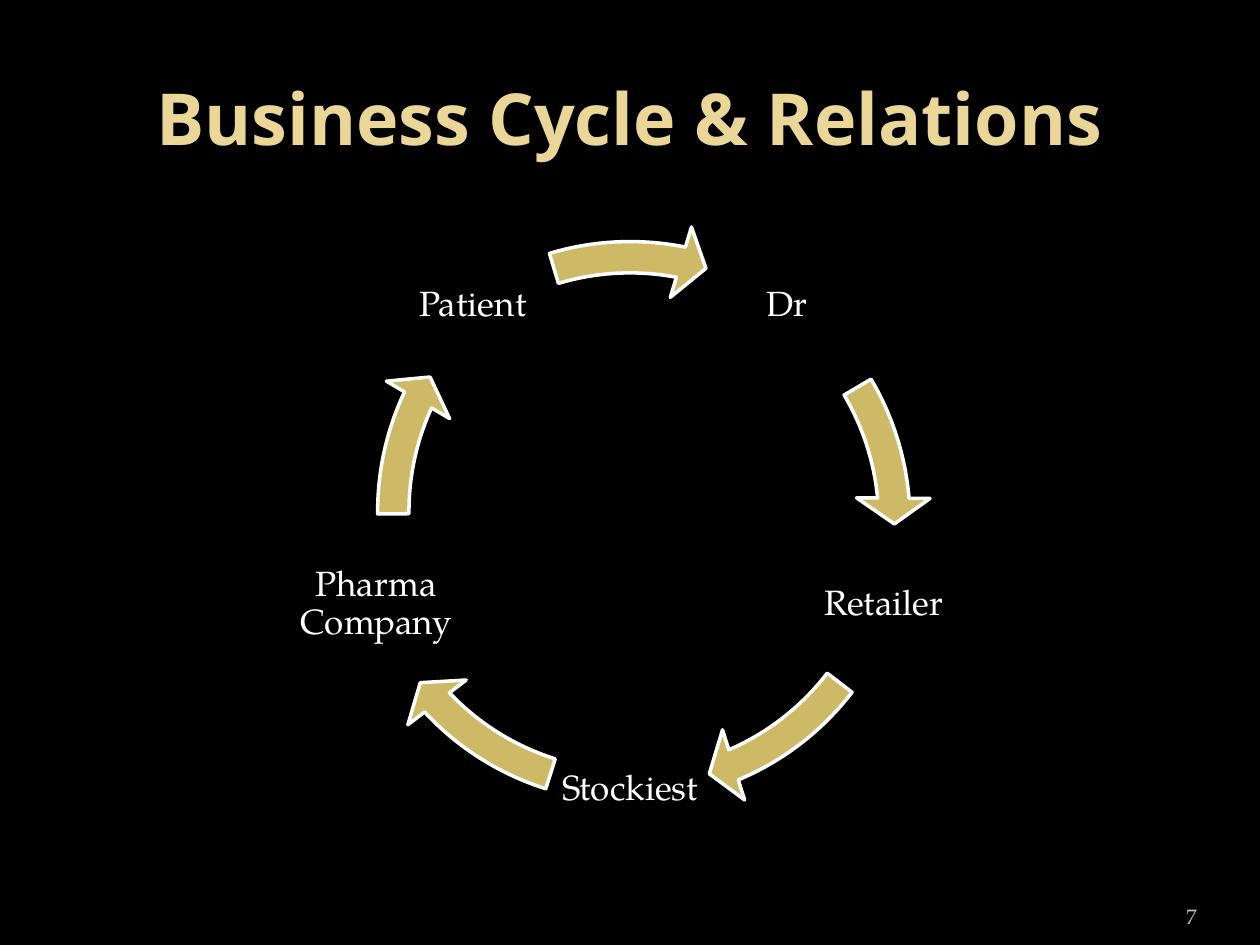
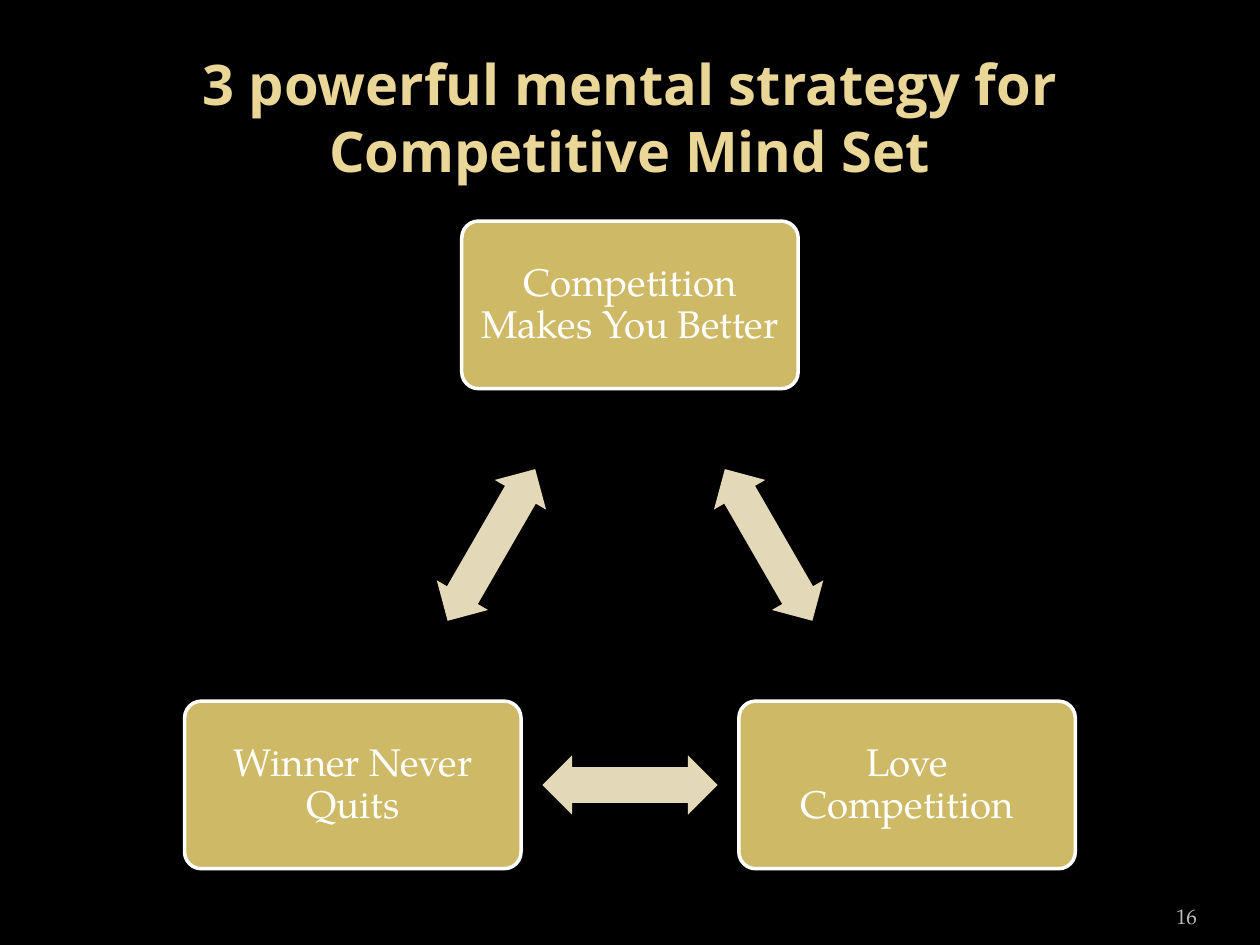
import math

import pptx
import pptx.dml.color
import pptx.enum.shapes
import pptx.enum.text
import pptx.util

RGBColor = pptx.dml.color.RGBColor
Inches = pptx.util.Inches
Shape = pptx.enum.shapes.MSO_SHAPE
Align = pptx.enum.text.PP_ALIGN
Anchor = pptx.enum.text.MSO_ANCHOR

BLACK = RGBColor(0x00, 0x00, 0x00)
WHITE = RGBColor(0xFF, 0xFF, 0xFF)
GOLD = RGBColor(0xCE, 0xB9, 0x66)
PALE_GOLD = RGBColor(0xE3, 0xD9, 0xB8)
TITLE_GOLD = RGBColor(0xEA, 0xD6, 0x96)
NUMBER_GRAY = RGBColor(0xBD, 0xBD, 0xBD)
TITLE_FONT = "Open Sans"
BODY_FONT = "TeX Gyre Pagella"

CYCLE_STEPS = [
    ("Dr", 329.42, 354.9),
    ("Retailer", 37.54, 66.93),
    ("Stockiest", 107.48, 136.87),
    ("Pharma Company", 179.5, 204.98),
    ("Patient", 253.29, 281.11),
]
STRATEGIES = ["Competition Makes You Better", "Love Competition", "Winner Never Quits"]


def write_text(shape, text, size=20, font=BODY_FONT, color=WHITE, bold=False,
               align=Align.CENTER, anchor=Anchor.MIDDLE, insets=(0.03, 0.03), spacing=0.9):
    frame = shape.text_frame
    frame.word_wrap = True
    frame.vertical_anchor = anchor
    frame.margin_left = frame.margin_right = Inches(insets[0])
    frame.margin_top = frame.margin_bottom = Inches(insets[1])
    paragraph = frame.paragraphs[0]
    paragraph.alignment = align
    paragraph.line_spacing = spacing
    run = paragraph.add_run()
    run.text = text
    run.font.size = pptx.util.Pt(size)
    run.font.name = font
    run.font.bold = bold
    run.font.color.rgb = color


def add_text(slide, text, left, top, width, height, **text_format):
    box = slide.shapes.add_textbox(Inches(left), Inches(top), Inches(width), Inches(height))
    write_text(box, text, **text_format)


def add_centered_shape(slide, kind, center, width, height, fill, adjustments, outlined=False):
    x, y = center
    shape = slide.shapes.add_shape(kind, Inches(x - width / 2), Inches(y - height / 2),
                                   Inches(width), Inches(height))
    shape.shadow.inherit = False
    shape.fill.solid()
    shape.fill.fore_color.rgb = fill
    if outlined:
        shape.line.color.rgb = WHITE
        shape.line.width = pptx.util.Pt(2)
    else:
        shape.line.fill.background()
    for index, value in enumerate(adjustments):
        shape.adjustments[index] = value
    return shape


def point_on_circle(center, radius, degrees):
    angle = math.radians(degrees)
    return center[0] + radius * math.cos(angle), center[1] + radius * math.sin(angle)


def add_cycle_arrow(slide, center, start, end):
    angles = [degrees * 0.6 for degrees in (5.6, end, start)]
    add_centered_shape(slide, Shape.CIRCULAR_ARROW, center, 4.78, 4.78, GOLD,
                       [0.052, *angles, 0.061], outlined=True)


def add_strategy_box(slide, text, center):
    box = add_centered_shape(slide, Shape.ROUNDED_RECTANGLE, center, 2.67, 1.33, GOLD,
                             [0.1], outlined=True)
    write_text(box, text, size=22, insets=(0.09, 0.09))


def add_double_arrow(slide, center, rotation):
    arrow = add_centered_shape(slide, Shape.LEFT_RIGHT_ARROW, center, 1.39, 0.47,
                               PALE_GOLD, [0.6, 0.5])
    arrow.rotation = rotation


def add_base_slide(presentation, title, title_size, number):
    slide = presentation.slides.add_slide(presentation.slide_layouts[6])
    slide.background.fill.solid()
    slide.background.fill.fore_color.rgb = BLACK
    add_text(slide, title, 0.5, 0.3, 9, 1.25, size=title_size, font=TITLE_FONT,
             color=TITLE_GOLD, bold=True, insets=(0.1, 0.05), spacing=1.0)
    add_text(slide, number, 8.67, 7.02, 0.83, 0.4, size=12, color=NUMBER_GRAY,
             align=Align.RIGHT, anchor=Anchor.BOTTOM, insets=(0, 0.05), spacing=1.0)
    return slide


def build_cycle_slide(presentation):
    slide = add_base_slide(presentation, "Business Cycle & Relations", 41, "7")
    center = (5, 4.14)
    shifted_center = (5.22, 4.06)
    label_size = 1.27
    for index, (label, start, end) in enumerate(CYCLE_STEPS):
        x, y = point_on_circle(center, 2.12, -54 + 72 * index)
        add_text(slide, label, x - label_size / 2, y - label_size / 2, label_size, label_size)
        arrow_center = shifted_center if label == "Pharma Company" else center
        add_cycle_arrow(slide, arrow_center, start, end)


def build_strategy_slide(presentation):
    slide = add_base_slide(
        presentation, "3 powerful mental strategy for Competitive Mind Set", 32, "16")
    center = (5, 4.96)
    radius = 2.54
    for index, strategy in enumerate(STRATEGIES):
        turn = 120 * index
        add_strategy_box(slide, strategy, point_on_circle(center, radius, turn - 90))
        add_double_arrow(slide, point_on_circle(center, radius / 2, turn - 30), turn + 60)


def main():
    presentation = pptx.Presentation()
    presentation.slide_width = Inches(10)
    presentation.slide_height = Inches(7.5)
    build_cycle_slide(presentation)
    build_strategy_slide(presentation)
    presentation.save("out.pptx")


if __name__ == "__main__":
    main()
